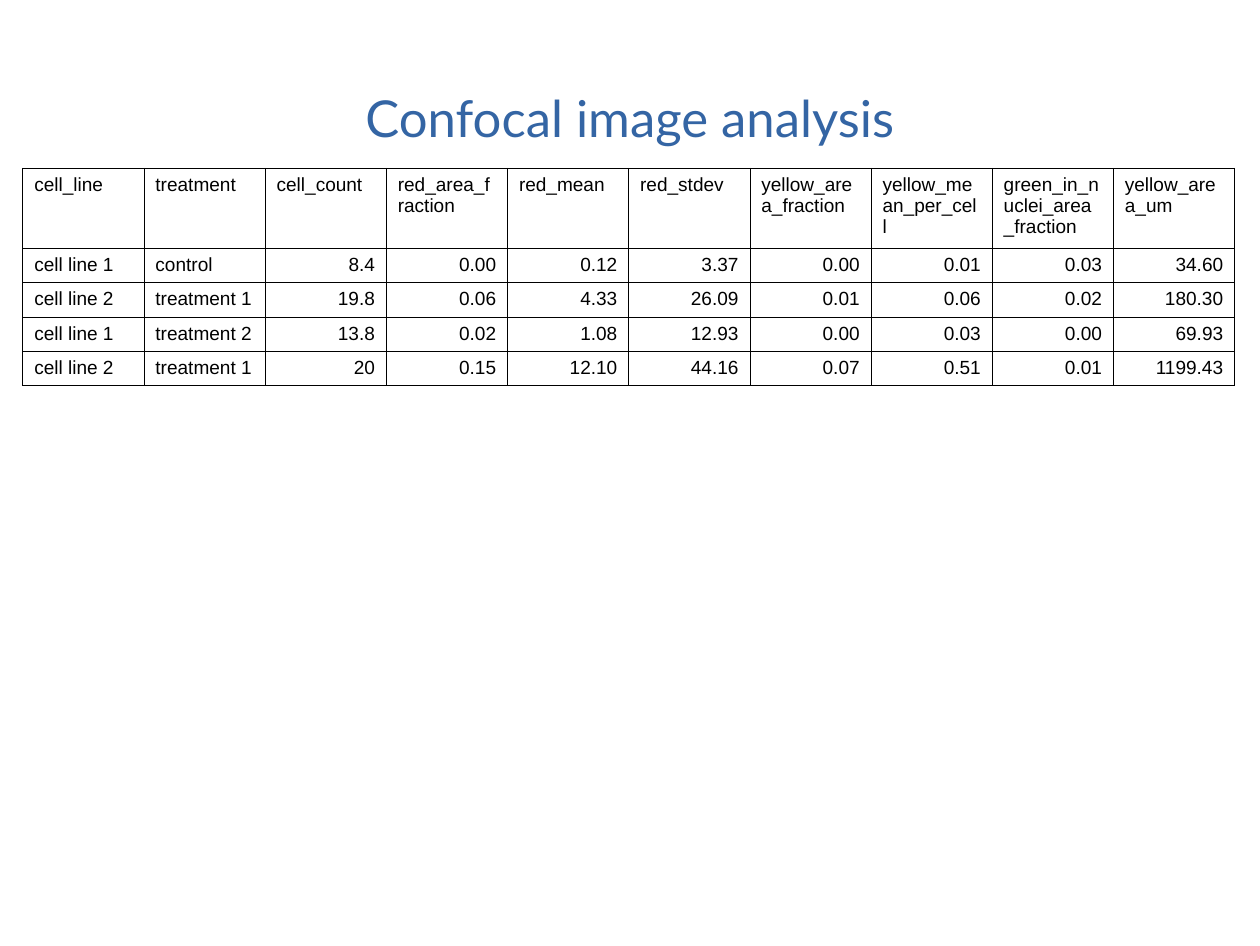
import dataclasses

import pptx
import pptx.dml.color
import pptx.enum.text
import pptx.oxml.ns
import pptx.util
from lxml import etree

# Content
TITLE = "Confocal image analysis"
HEADER = (
    "cell_line", "treatment", "cell_count", "red_area_fraction", "red_mean",
    "red_stdev", "yellow_area_fraction", "yellow_mean_per_cell",
    "green_in_nuclei_area_fraction", "yellow_area_um",
)
MEASUREMENTS = (
    ("cell line 1", "control", "8.4", "0.00", "0.12", "3.37", "0.00", "0.01", "0.03", "34.60"),
    ("cell line 2", "treatment 1", "19.8", "0.06", "4.33", "26.09", "0.01", "0.06", "0.02", "180.30"),
    ("cell line 1", "treatment 2", "13.8", "0.02", "1.08", "12.93", "0.00", "0.03", "0.00", "69.93"),
    ("cell line 2", "treatment 1", "20", "0.15", "12.10", "44.16", "0.07", "0.51", "0.01", "1199.43"),
)
LABEL_COLUMNS = 2


@dataclasses.dataclass(frozen=True)
class Theme:
    title_font: str = "Lato"
    title_size: float = 32
    title_color: str = "3465A4"
    table_font: str = "Arial"
    table_size: float = 12
    table_color: str = "000000"
    border_color: str = "000000"
    border_width: float = 0.57


THEME = Theme()

# Layout in inches
WIDTH, HEIGHT = 11.02, 8.27
TITLE_LEFT, TITLE_TOP, TITLE_HEIGHT = WIDTH * 0.05, HEIGHT * 0.04, 1.38
TABLE_LEFT, TABLE_TOP = 0.2, 1.47
COLUMN_WIDTH, HEADER_HEIGHT, ROW_HEIGHT = 1.06, 0.7, 0.3
PADDING_X, PADDING_Y = 0.1, 0.05

inches = pptx.util.Inches
ALIGN = pptx.enum.text.PP_ALIGN


def write(paragraph, text, align, font, size, color):
    paragraph.alignment = align
    run = paragraph.add_run()
    run.text = text
    run.font.name = font
    run.font.size = pptx.util.Pt(size)
    run.font.color.rgb = pptx.dml.color.RGBColor.from_string(color)


def add_borders(cell):
    qn = pptx.oxml.ns.qn
    properties = cell._tc.get_or_add_tcPr()
    for side in ("lnL", "lnR", "lnT", "lnB"):
        line = etree.SubElement(properties, qn(f"a:{side}"))
        line.set("w", str(int(pptx.util.Pt(THEME.border_width))))
        fill = etree.SubElement(line, qn("a:solidFill"))
        etree.SubElement(fill, qn("a:srgbClr")).set("val", THEME.border_color)


def add_title(slide):
    box = slide.shapes.add_textbox(
        inches(TITLE_LEFT), inches(TITLE_TOP),
        inches(WIDTH - 2 * TITLE_LEFT), inches(TITLE_HEIGHT))
    frame = box.text_frame
    frame.word_wrap = True
    frame.vertical_anchor = pptx.enum.text.MSO_ANCHOR.MIDDLE
    frame.margin_left = frame.margin_right = frame.margin_top = frame.margin_bottom = 0
    write(frame.paragraphs[0], TITLE, ALIGN.CENTER,
          THEME.title_font, THEME.title_size, THEME.title_color)


def add_measurements(slide):
    rows = (HEADER, *MEASUREMENTS)
    heights = [HEADER_HEIGHT] + [ROW_HEIGHT] * len(MEASUREMENTS)
    table = slide.shapes.add_table(
        len(rows), len(HEADER), inches(TABLE_LEFT), inches(TABLE_TOP),
        inches(COLUMN_WIDTH * len(HEADER)), inches(sum(heights))).table
    table.first_row = table.horz_banding = False
    for column in table.columns:
        column.width = inches(COLUMN_WIDTH)
    for row_index, values in enumerate(rows):
        table.rows[row_index].height = inches(heights[row_index])
        for column_index, value in enumerate(values):
            cell = table.cell(row_index, column_index)
            cell.margin_left = cell.margin_right = inches(PADDING_X)
            cell.margin_top = cell.margin_bottom = inches(PADDING_Y)
            add_borders(cell)
            cell.fill.background()
            numeric = row_index > 0 and column_index >= LABEL_COLUMNS
            write(cell.text_frame.paragraphs[0], value,
                  ALIGN.RIGHT if numeric else ALIGN.LEFT,
                  THEME.table_font, THEME.table_size, THEME.table_color)


def main():
    presentation = pptx.Presentation()
    presentation.slide_width = inches(WIDTH)
    presentation.slide_height = inches(HEIGHT)
    slide = presentation.slides.add_slide(presentation.slide_layouts[6])
    add_title(slide)
    add_measurements(slide)
    presentation.save("out.pptx")


if __name__ == "__main__":
    main()
